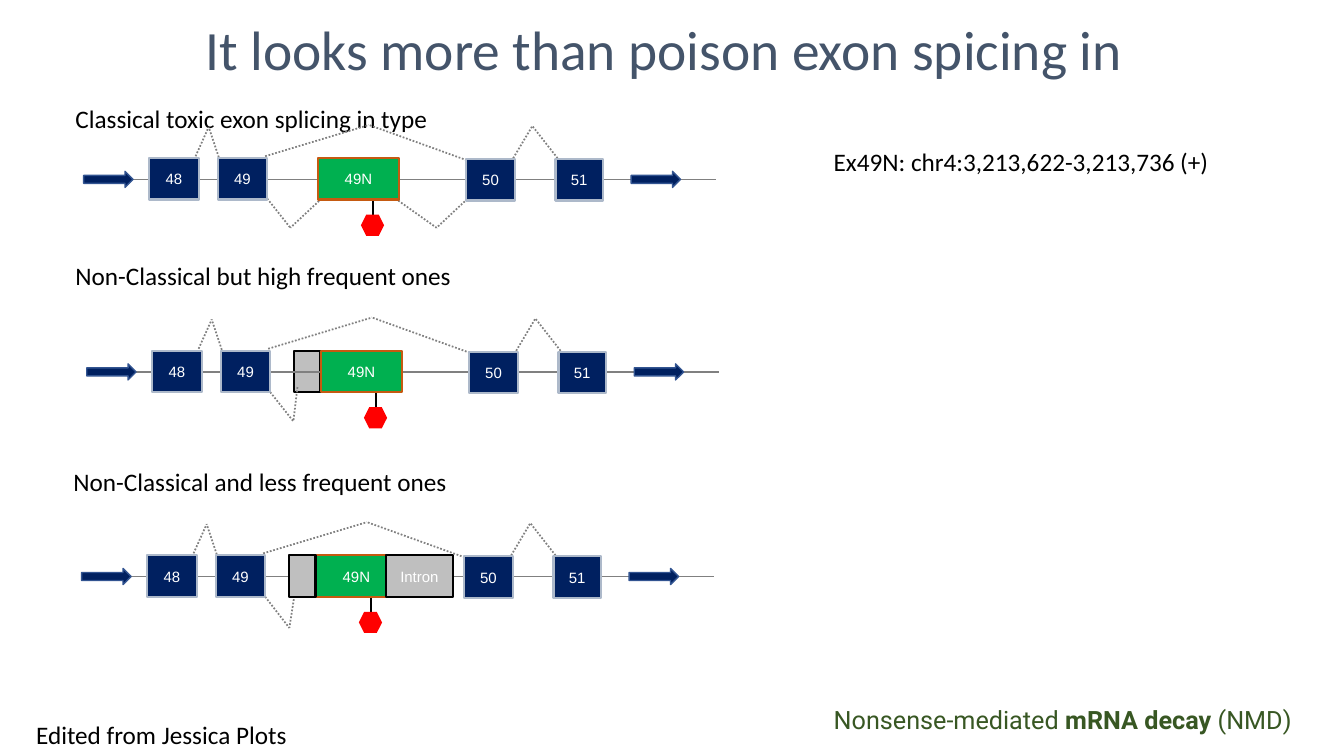
from lxml import etree
from pptx import Presentation
from pptx import util as u
from pptx.dml.color import RGBColor
from pptx.enum import dml, shapes, text
from pptx.oxml.ns import qn

# Every length is a count of grid cells, 100 cells to the inch
CELL = u.Inches(0.01)
NAVY, GREY = "002060", "808080"
RECT = shapes.MSO_SHAPE.RECTANGLE
ARROW = shapes.MSO_SHAPE.RIGHT_ARROW
HEXAGON = shapes.MSO_SHAPE.HEXAGON

deck = Presentation()
deck.slide_width, deck.slide_height = u.Inches(13.33), u.Inches(7.5)
slide = deck.slides.add_slide(deck.slide_layouts[6])


def rgb(code):
    return RGBColor.from_string(code)


def write(frame, runs, size, font, color, align=text.PP_ALIGN.LEFT):
    """Fill a text frame with one paragraph of (wording, bold) runs."""
    frame.word_wrap = True
    frame.vertical_anchor = text.MSO_ANCHOR.MIDDLE
    paragraph = frame.paragraphs[0]
    paragraph.alignment = align
    for wording, bold in runs:
        run = paragraph.add_run()
        run.text = wording
        look = {"size": u.Pt(size), "name": font, "bold": bold}
        for key, value in look.items():
            setattr(run.font, key, value)
        run.font.color.rgb = rgb(color)


# Title, captions and notes
captions = [
    (194, 14, 1048, 68, [("It looks more than poison exon spicing in", False)], 39.6, "Calibri", "44546A"),
    (817, 140, 396, 40, [("Ex49N: chr4:3,213,622-3,213,736 (+)", False)], 18, "Calibri", "000000"),
    (26, 709, 319, 40, [("Edited from Jessica Plots", False)], 18, "Calibri", "000000"),
    (65, 98, 421, 40, [("Classical toxic exon splicing in type", False)], 18, "Calibri", "000000"),
    (65, 253, 448, 40, [("Non-Classical but high frequent ones", False)], 18, "Calibri", "000000"),
    (63, 458, 459, 40, [("Non-Classical and less frequent ones", False)], 18, "Calibri", "000000"),
    (817, 694, 479, 40, [("Nonsense-mediated ", False), ("mRNA decay", True), (" (NMD)", False)],
     18, "Roboto", "385723"),
]
for left, top, width, height, runs, size, font, color in captions:
    caption = slide.shapes.add_textbox(left * CELL, top * CELL, width * CELL, height * CELL)
    write(caption.text_frame, runs, size, font, color)

# Blocks of a gene model: kind, left, top, width, height, fill, line, line width, label
# All offsets are counted from the start of the gene's backbone
exons = [
    (RECT, left, top, width, 41, NAVY, "ADB9CA", 1.5, label)
    for label, left, top, width in [
        ("48", 36, -21, 49), ("49", 104, -21, 49), ("50", 350, -20, 49), ("51", 439, -20, 47)]
]
gene_arrows = [(ARROW, left, -8, 49, 16, NAVY, "325491", 1, "") for left in (-29, 514)]
poison_exon = (RECT, 203, -21, 81, 41, "00B050", "C55A11", 1.5, "49N")
stop_sign = (HEXAGON, 246, 35, 23, 21, "FF0000", None, 0, "")
gene_blocks = exons + gene_arrows + [poison_exon, stop_sign]
extension = (RECT, 177, -21, 26, 41, "BFBFBF", "000000", 1.5, "")
intron = (RECT, 273, -21, 66, 41, "BFBFBF", "000000", 1.5, "Intron")

# Strokes: two ends, colour, width, dotted
backbone = (0, 0, 598, 0, GREY, 1, False)
stop_stem = (258, 20, 258, 36, "000000", 1.25, False)

# Splice joins: foot, peak, foot
skips = [
    ((82, -23), (95, -52), (105, -22)),
    ((151, -23), (254, -54), (351, -19)),
    ((397, -21), (416, -53), (441, -21)),
]
inclusions = [((153, 19), (176, 48), (207, 19)), ((283, 21), (321, 48), (354, 17))]

# Genes: start, blocks below the strokes, blocks above, lower joins
genes = [
    ((112, 178), [], gene_blocks, inclusions),
    ((115, 369), [extension], gene_blocks, [((153, 20), (176, 49), (180, 15))]),
    ((110, 572), [], gene_blocks + [intron, extension], [((153, 20), (177, 51), (182, 19))]),
]

for (x, y), below, above, joins in genes:
    dotted_lines = [
        (*foot, *peak, GREY, 1.25, True)
        for first, peak, last in skips + joins
        for foot in (first, last)
    ]
    strokes = [backbone, stop_stem] + dotted_lines

    # Strokes lie between the lower and the upper blocks
    for layer in (below, strokes, above):
        if layer is strokes:
            for x1, y1, x2, y2, color, weight, dotted in strokes:
                stroke = slide.shapes.add_connector(
                    shapes.MSO_CONNECTOR.STRAIGHT,
                    (x + x1) * CELL, (y + y1) * CELL, (x + x2) * CELL, (y + y2) * CELL)
                stroke.line.color.rgb = rgb(color)
                stroke.line.width = u.Pt(weight)
                if dotted:
                    stroke.line.dash_style = dml.MSO_LINE.ROUND_DOT
                etree.SubElement(stroke._element.spPr, qn("a:effectLst"))
            continue
        for kind, left, top, width, height, fill, edge, weight, label in layer:
            block = slide.shapes.add_shape(
                kind, (x + left) * CELL, (y + top) * CELL, width * CELL, height * CELL)
            block.shadow.inherit = False
            block.fill.solid()
            block.fill.fore_color.rgb = rgb(fill)
            if edge:
                block.line.color.rgb = rgb(edge)
                block.line.width = u.Pt(weight)
            else:
                block.line.fill.background()
            if label:
                for side in ("left", "right", "top", "bottom"):
                    setattr(block.text_frame, f"margin_{side}", 0)
                write(block.text_frame, [(label, False)], 10.7, "Arial", "FFFFFF",
                      text.PP_ALIGN.CENTER)

deck.save("out.pptx")
